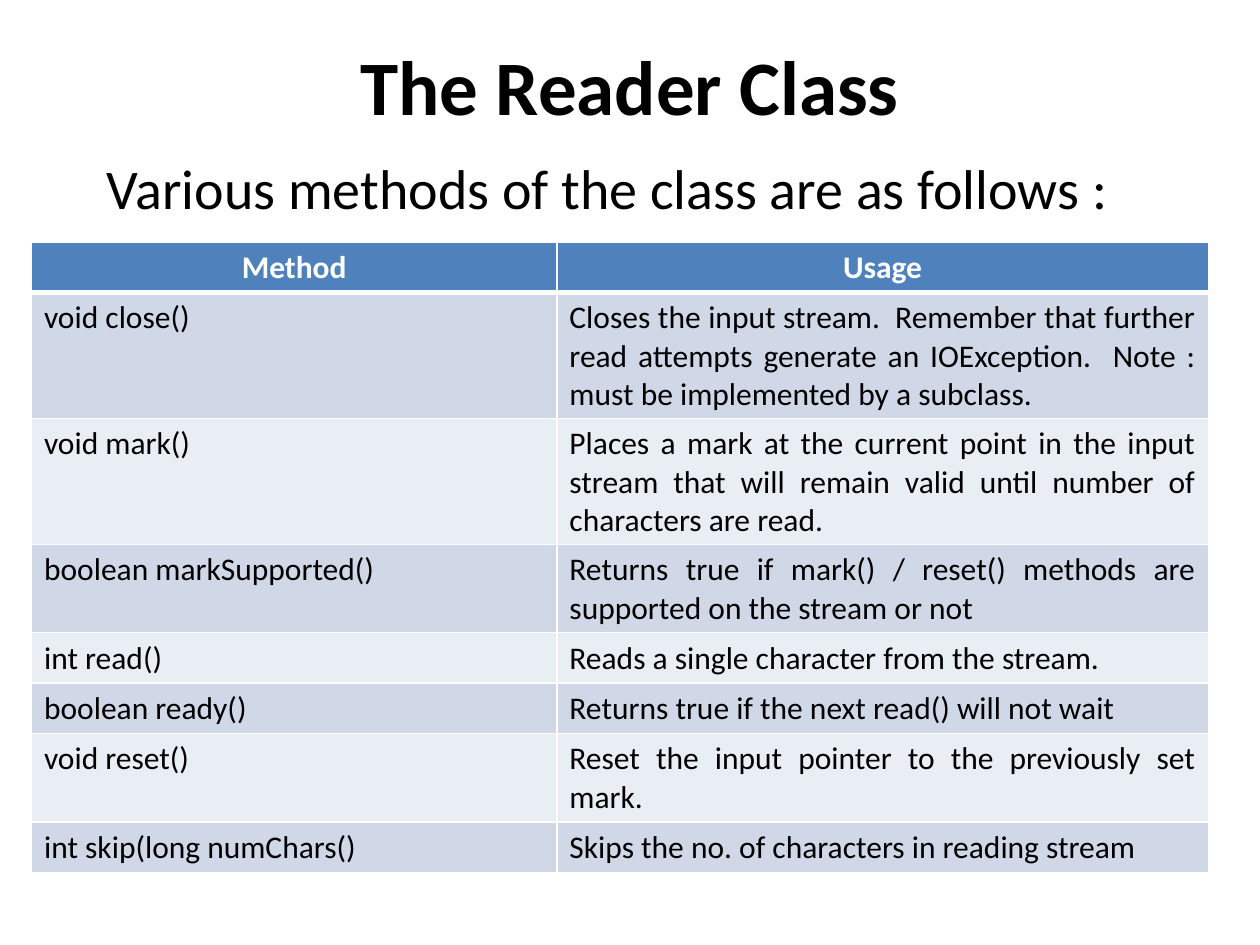
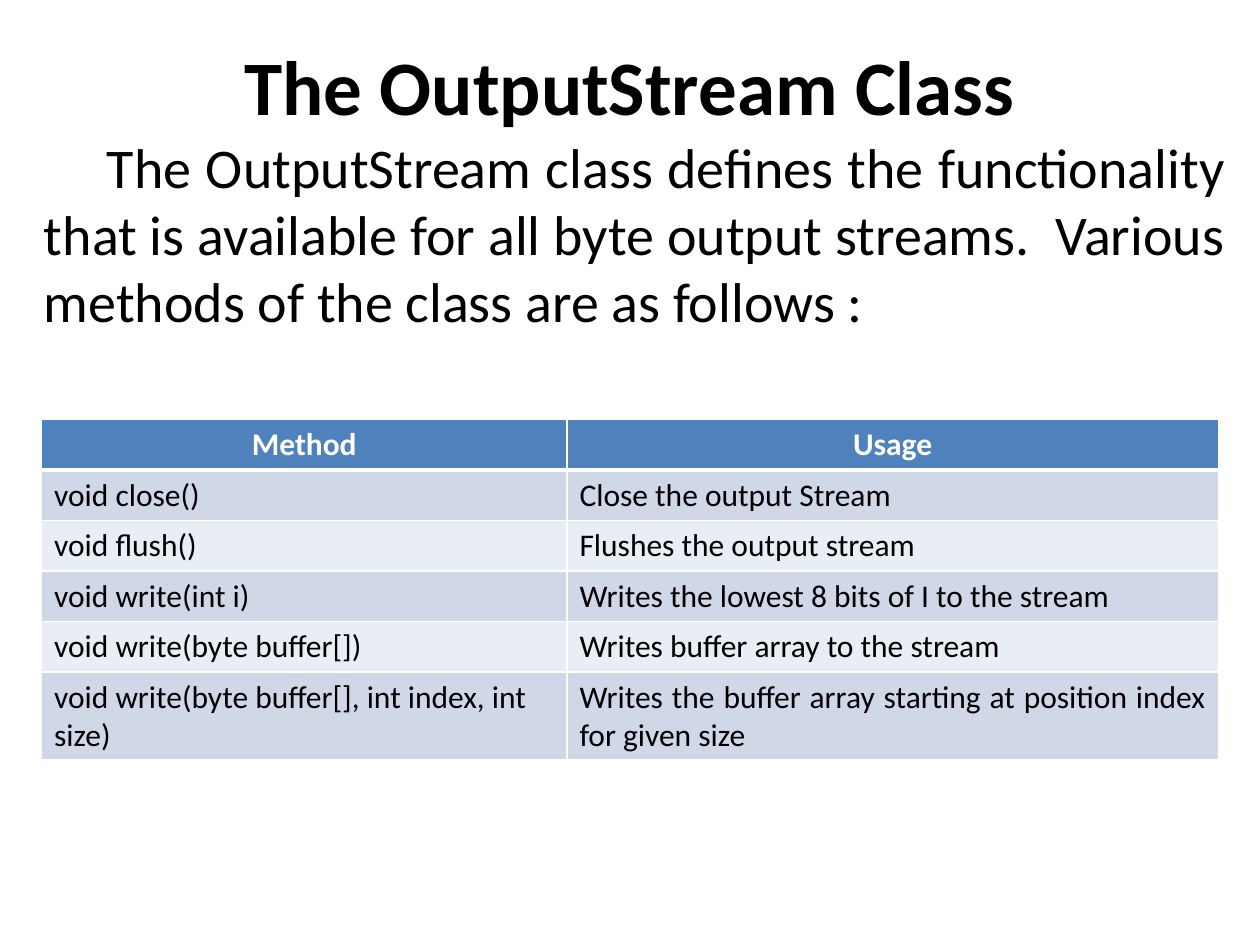
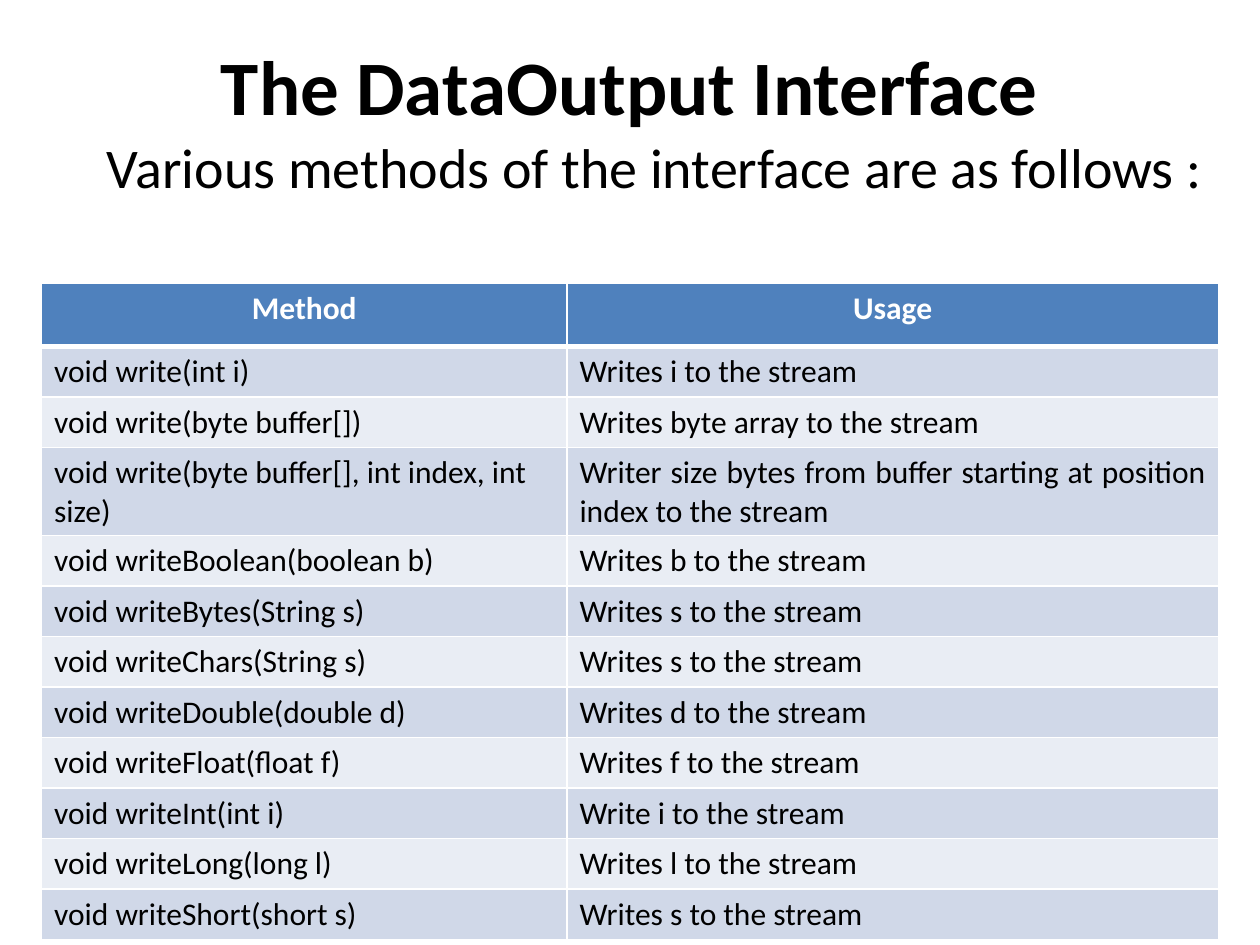
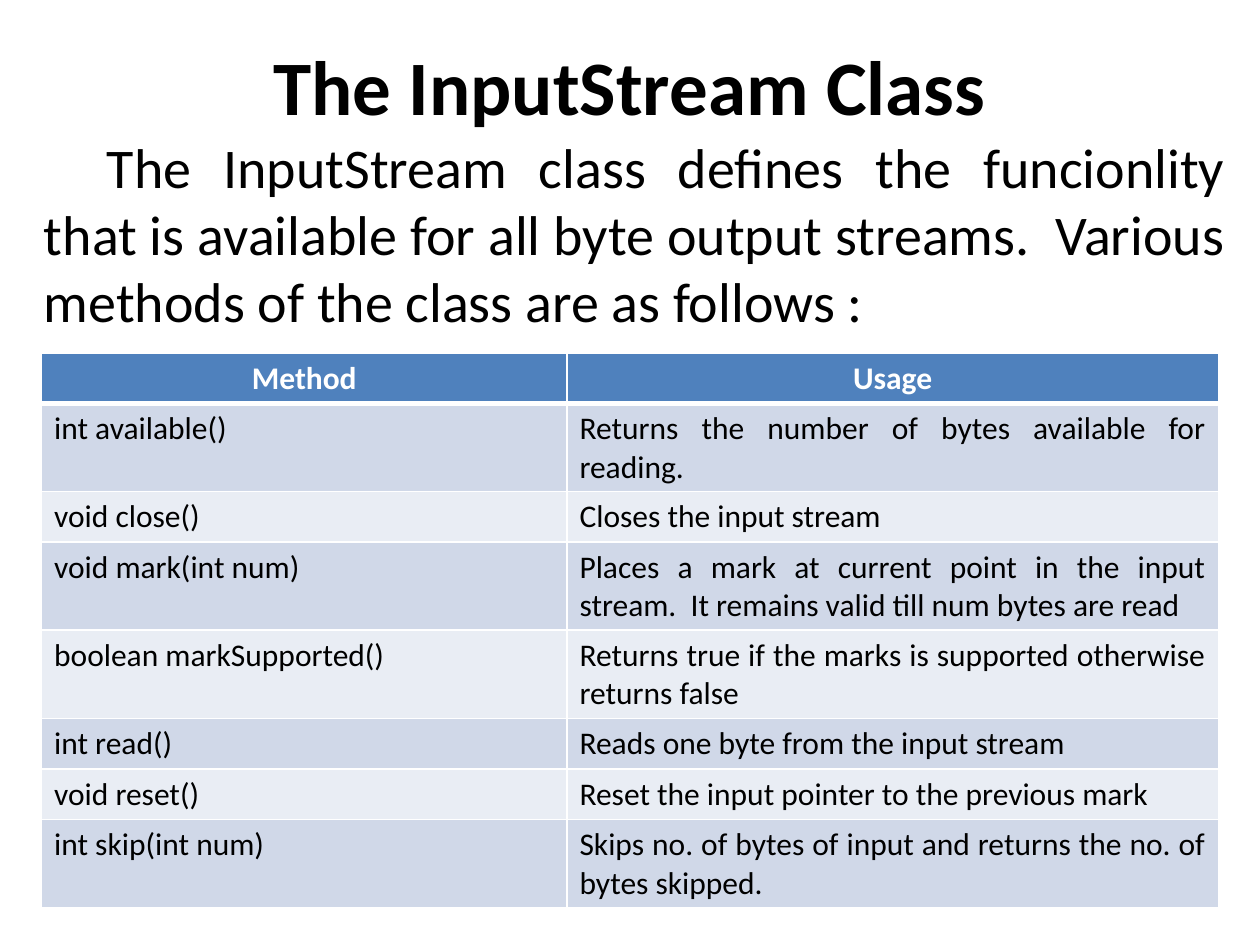
"""Build four slides that list the methods of stream classes."""
from lxml import etree
from pptx import Presentation
from pptx.dml.color import RGBColor
from pptx.enum.text import MSO_ANCHOR, MSO_AUTO_SIZE, PP_ALIGN
from pptx.oxml.ns import qn
from pptx.util import Inches, Pt

CENTER, LEFT, JUSTIFY = PP_ALIGN.CENTER, PP_ALIGN.LEFT, PP_ALIGN.JUSTIFY
MIDDLE = MSO_ANCHOR.MIDDLE
FIT_SHAPE = MSO_AUTO_SIZE.SHAPE_TO_FIT_TEXT
TITLE_ONLY = 5
FONT = "Calibri"
COLORS = {
    "text": "000000",
    "header_text": "FFFFFF",
    "header": "4F81BD",
    "odd_row": "D0D8E8",
    "even_row": "E9EDF4",
    "rule": "FFFFFF",
}
COLUMN_WIDTHS = (4.17, 5.17)
ROW_HEIGHT = 0.35
HEADINGS = ("Method", "Usage")
THIN, THICK = 1, 3

TOPICS = [
    {
        "title": "The Reader Class",
        "intro": "Various methods of the class are as follows :",
        "intro_top": 1.17, "intro_height": 0.64,
        "table_left": 0.25, "table_top": 1.92, "table_height": 5,
        "methods": [
            ("void close()", "Closes the input stream.  Remember that further read attempts "
             "generate an IOException.  Note : must be implemented by a subclass."),
            ("void mark()", "Places a mark at the current point in the input stream that "
             "will remain valid until number of characters are read."),
            ("boolean markSupported()", "Returns true if mark() / reset() methods are "
             "supported on the stream or not"),
            ("int read()", "Reads a single character from the stream."),
            ("boolean ready()", "Returns true if the next read() will not wait"),
            ("void reset()", "Reset the input pointer to the previously set mark."),
            ("int skip(long numChars()", "Skips the no. of characters in reading stream"),
        ],
    },
    {
        "title": "The OutputStream Class",
        "intro": "The OutputStream class defines the functionality that is available for all "
                 "byte output streams.  Various methods of the class are as follows :",
        "intro_height": 2.26, "table_top": 3.33, "table_height": 2.7,
        "methods": [
            ("void close()", "Close the output Stream"),
            ("void flush()", "Flushes the output stream"),
            ("void write(int i)", "Writes the lowest 8 bits of I to the stream"),
            ("void write(byte buffer[])", "Writes buffer array to the stream"),
            ("void write(byte buffer[], int index, int size)",
             "Writes the buffer array starting at position index for given size"),
        ],
    },
    {
        "title": "The DataOutput Interface",
        "intro": "Various methods of the interface are as follows :",
        "intro_height": 1.18, "table_top": 2.25, "table_height": 5.2,
        "header_height": 0.5,
        "methods": [
            ("void write(int i)", "Writes i to the stream"),
            ("void write(byte buffer[])", "Writes byte array to the stream"),
            ("void write(byte buffer[], int index, int size)",
             "Writer size bytes from buffer starting at position index to the stream"),
            ("void writeBoolean(boolean b)", "Writes b to the stream"),
            ("void writeBytes(String s)", "Writes s to the stream"),
            ("void writeChars(String s)", "Writes s to the stream"),
            ("void writeDouble(double d)", "Writes d to the stream"),
            ("void writeFloat(float f)", "Writes f to the stream"),
            ("void writeInt(int i)", "Write i to the stream"),
            ("void writeLong(long l)", "Writes l to the stream"),
            ("void writeShort(short s)", "Writes s to the stream"),
        ],
    },
    {
        "title": "The InputStream Class",
        "intro": "The InputStream class defines the funcionlity that is available for all "
                 "byte output streams.  Various methods of the class are as follows :",
        "intro_height": 1.72, "table_top": 2.8, "table_height": 4.4,
        "methods": [
            ("int available()", "Returns the number of bytes available for reading."),
            ("void close()", "Closes the input stream"),
            ("void mark(int num)", "Places a mark at current point in the input stream.  "
             "It remains valid till num bytes are read"),
            ("boolean markSupported()", "Returns true if the marks is supported otherwise "
             "returns false"),
            ("int read()", "Reads one byte from the input stream"),
            ("void reset()", "Reset the input pointer to the previous mark"),
            ("int skip(int num)", "Skips no. of bytes of input and returns the no. of bytes "
             "skipped."),
        ],
    },
]


def write(text_frame, text, size, align, color="text", bold=False):
    """Put one formatted paragraph into a text frame."""
    text_frame.text = text
    paragraph = text_frame.paragraphs[0]
    paragraph.alignment = align
    for run in paragraph.runs:
        run.font.name = FONT
        run.font.size = Pt(size)
        run.font.bold = bold
        run.font.color.rgb = RGBColor.from_string(COLORS[color])


def add_title(slide, text):
    """Place the centred bold title across the slide."""
    title = slide.shapes.title
    title.left, title.top = Inches(0), Inches(0.17)
    title.width, title.height = Inches(10), Inches(1)
    title.text_frame.vertical_anchor = MIDDLE
    write(title.text_frame, text, 44, CENTER, bold=True)


def add_intro(slide, text, top, height):
    """Add the justified introduction, which starts at the first tab stop."""
    intro = slide.shapes.add_textbox(Inches(0.25), Inches(top), Inches(9.58), Inches(height))
    intro.text_frame.word_wrap = True
    intro.text_frame.auto_size = FIT_SHAPE
    write(intro.text_frame, "\t" + text, 32, JUSTIFY)


def set_borders(cell, top, bottom):
    """Draw the four rules of a cell, with widths in points."""
    properties = cell._tc.get_or_add_tcPr()
    for side, width in (("L", THIN), ("R", THIN), ("T", top), ("B", bottom)):
        rule = etree.SubElement(properties, qn(f"a:ln{side}"), w=str(Pt(width)))
        fill = etree.SubElement(rule, qn("a:solidFill"))
        etree.SubElement(fill, qn("a:srgbClr"), val=COLORS["rule"])


def fill_row(cells, row_number, texts):
    """Write and colour one table row, where row 0 is the header."""
    is_header = row_number == 0
    top = THICK if row_number == 1 else THIN
    bottom = THICK if is_header else THIN
    band = "header" if is_header else "odd_row" if row_number % 2 else "even_row"
    aligns = (CENTER, CENTER) if is_header else (LEFT, JUSTIFY)
    color = "header_text" if is_header else "text"
    for cell, text, align in zip(cells, texts, aligns):
        set_borders(cell, top, bottom)
        cell.fill.solid()
        cell.fill.fore_color.rgb = RGBColor.from_string(COLORS[band])
        write(cell.text_frame, text, 18, align, color, is_header)


def add_method_table(slide, methods, left, top, height, header_height):
    """Add the table of methods and their usage."""
    rows = [HEADINGS, *methods]
    frame = slide.shapes.add_table(len(rows), len(HEADINGS), Inches(left), Inches(top),
                                   Inches(sum(COLUMN_WIDTHS)), Inches(height))
    table = frame.table
    for column, width in zip(table.columns, COLUMN_WIDTHS):
        column.width = Inches(width)
    for row_number, (row, texts) in enumerate(zip(table.rows, rows)):
        row.height = Inches(ROW_HEIGHT if row_number else header_height)
        fill_row(row.cells, row_number, texts)
    frame.height = Inches(height)


def add_topic(presentation, topic):
    """Add one slide with title, introduction and method table."""
    slide = presentation.slides.add_slide(presentation.slide_layouts[TITLE_ONLY])
    add_title(slide, topic["title"])
    add_intro(slide, topic["intro"], topic.get("intro_top", 1), topic["intro_height"])
    add_method_table(slide, topic["methods"], topic.get("table_left", 0.33),
                     topic["table_top"], topic["table_height"],
                     topic.get("header_height", ROW_HEIGHT))


def main():
    """Build and save the presentation."""
    presentation = Presentation()
    presentation.slide_width, presentation.slide_height = Inches(10), Inches(7.5)
    for topic in TOPICS:
        add_topic(presentation, topic)
    presentation.save("out.pptx")


if __name__ == "__main__":
    main()
